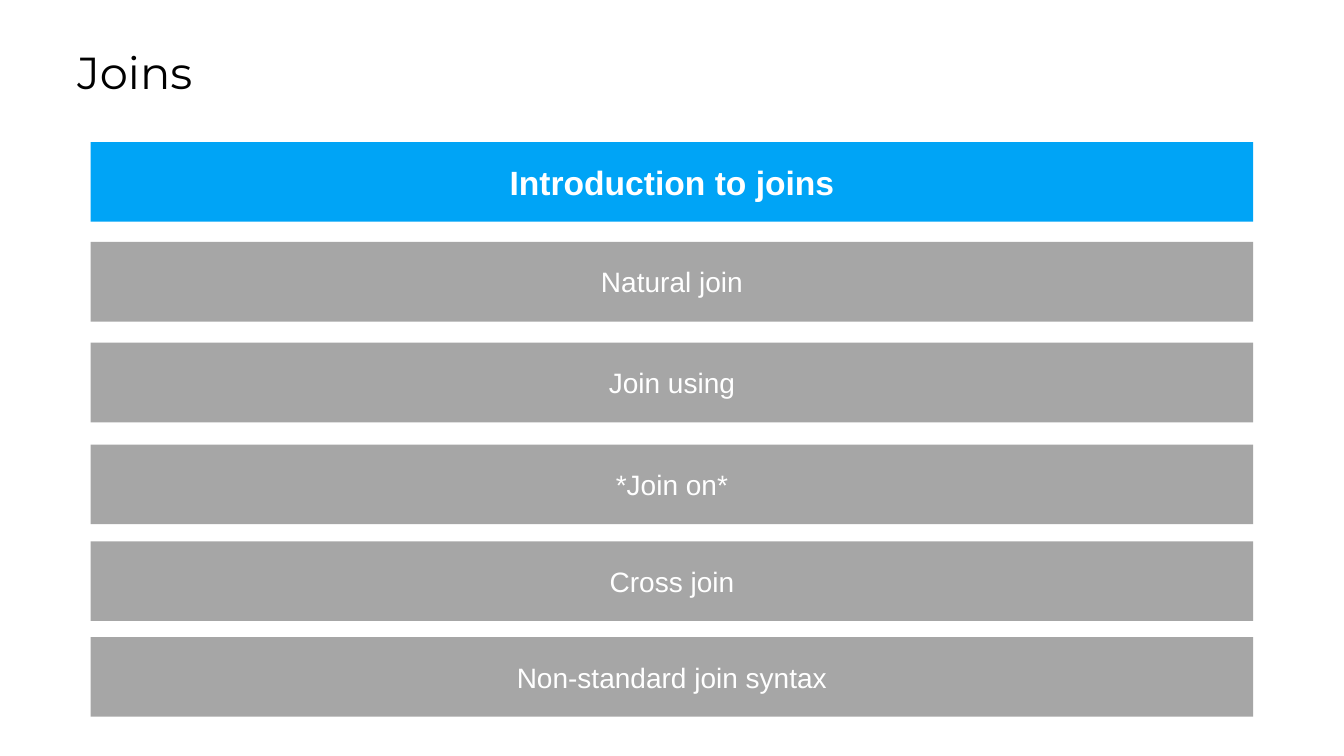
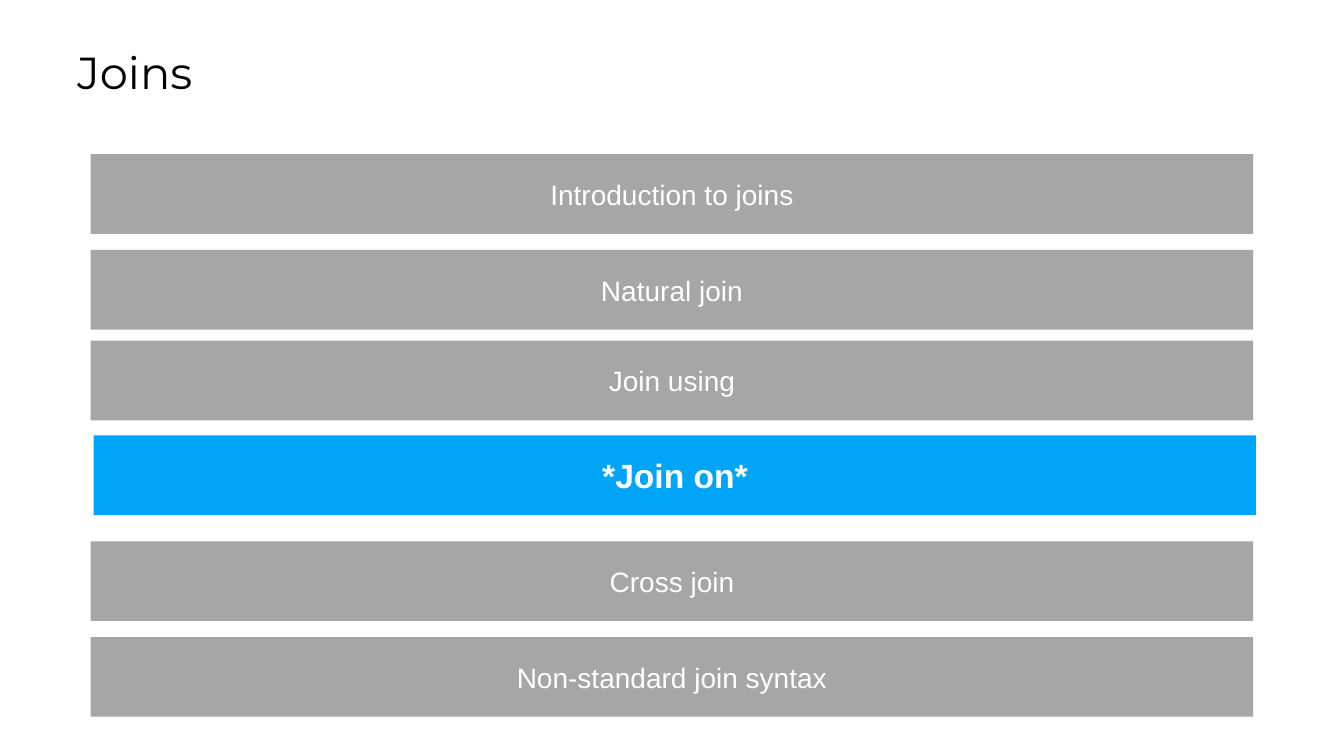
from dataclasses import dataclass

from pptx import Presentation
from pptx import util as u
from pptx.dml.color import RGBColor
from pptx.enum import shapes, text

COLORS = {"active": "00A4F6", "idle": "A6A6A6", "light": "FFFFFF", "dark": "000000"}
TITLE = "Joins"
TOPICS = (
    "Introduction to joins",
    "Natural join",
    "Join using",
    "*Join on*",
    "Cross join",
    "Non-standard join syntax",
)
BAR_LEFT, BAR_WIDTH, BAR_HEIGHT = 0.9, 11.53, 0.79


@dataclass(frozen=True)
class Agenda:
    """One agenda slide: the highlighted topic and the top of each bar."""
    active: int
    tops: tuple[float, ...]
    active_left: float = BAR_LEFT


AGENDAS = (
    Agenda(active=0, tops=(1.41, 2.4, 3.4, 4.41, 5.37, 6.32)),
    Agenda(active=3, tops=(1.53, 2.48, 3.38, 4.32, 5.37, 6.32), active_left=0.93),
)


def rgb(name: str) -> RGBColor:
    return RGBColor.from_string(COLORS[name])


def set_text(s, words: str, font: str, size: int, color: str,
             align: text.PP_ALIGN, bold: bool = False) -> None:
    tf = s.text_frame
    tf.text = words
    tf.word_wrap = True
    tf.vertical_anchor = text.MSO_ANCHOR.MIDDLE
    p = tf.paragraphs[0]
    p.alignment = align
    r = p.runs[0]
    r.font.name, r.font.size, r.font.bold = font, u.Pt(size), bold
    r.font.color.rgb = rgb(color)


def add_title(slide) -> None:
    s = slide.shapes.add_textbox(
        u.Inches(0.67), u.Inches(0.39), u.Inches(12.06), u.Inches(0.64))
    set_text(s, TITLE, "Montserrat", 32, "dark", text.PP_ALIGN.LEFT)
    s.text_frame.auto_size = text.MSO_AUTO_SIZE.SHAPE_TO_FIT_TEXT


def add_bar(slide, topic: str, left: float, top: float, active: bool) -> None:
    s = slide.shapes.add_shape(
        shapes.MSO_SHAPE.RECTANGLE, u.Inches(left), u.Inches(top),
        u.Inches(BAR_WIDTH), u.Inches(BAR_HEIGHT))
    s.shadow.inherit = False
    s.fill.solid()
    s.fill.fore_color.rgb = rgb("active" if active else "idle")
    s.line.fill.background()
    set_text(s, topic, "Arial", 24 if active else 20, "light",
             text.PP_ALIGN.CENTER, bold=active)


def add_agenda(prs, agenda: Agenda) -> None:
    slide = prs.slides.add_slide(prs.slide_layouts[6])
    add_title(slide)
    for i, (topic, top) in enumerate(zip(TOPICS, agenda.tops)):
        active = i == agenda.active
        left = agenda.active_left if active else BAR_LEFT
        add_bar(slide, topic, left, top, active)


def main() -> None:
    prs = Presentation()
    prs.slide_width, prs.slide_height = u.Inches(13.33), u.Inches(7.5)
    for agenda in AGENDAS:
        add_agenda(prs, agenda)
    prs.save("out.pptx")


if __name__ == "__main__":
    main()
